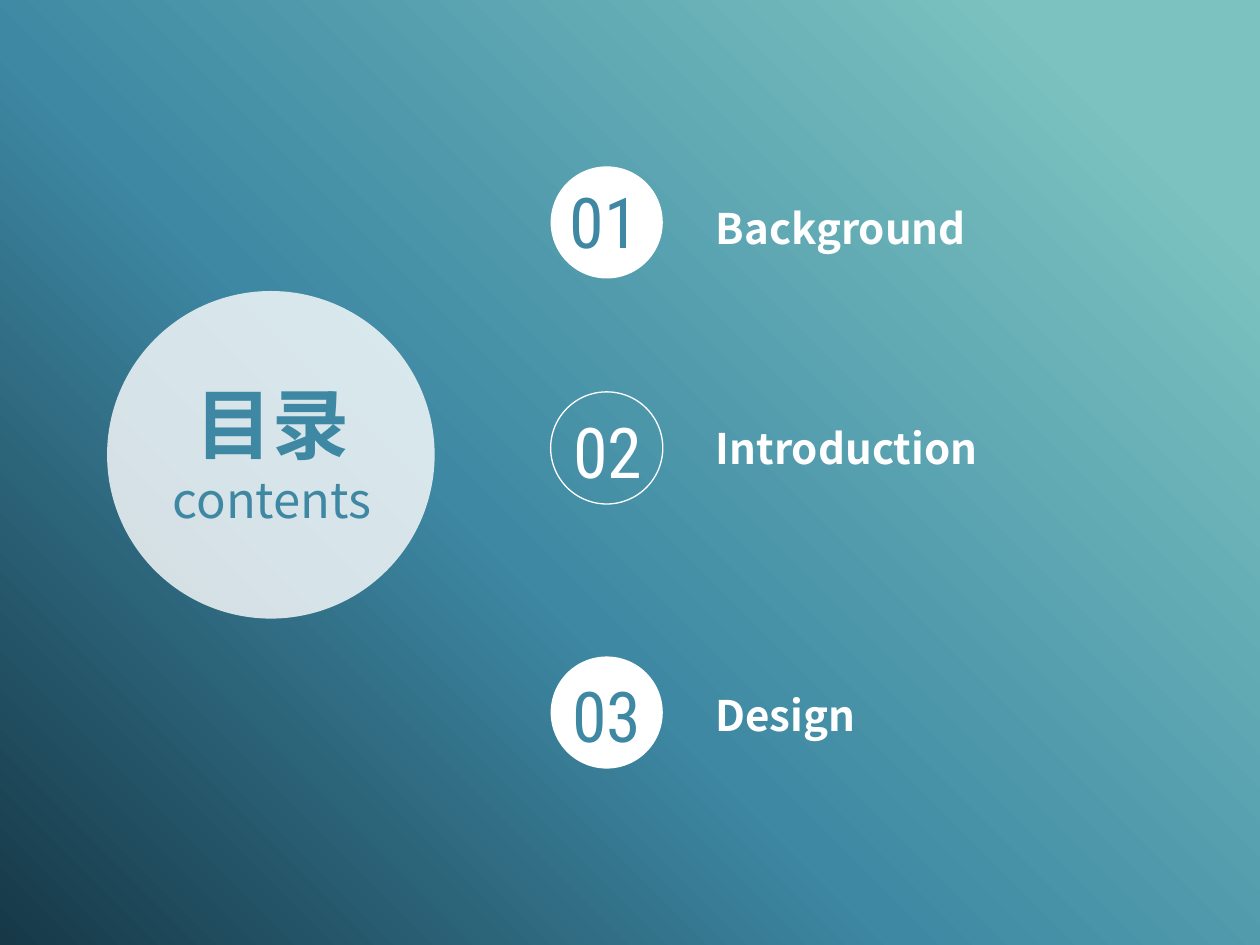
from lxml.etree import SubElement
from pptx import Presentation
from pptx.dml.color import RGBColor
from pptx.enum.shapes import MSO_SHAPE
from pptx.enum.text import MSO_ANCHOR, MSO_AUTO_SIZE, PP_ALIGN
from pptx.oxml import parse_xml
from pptx.oxml.ns import nsdecls, qn
from pptx.util import Inches, Pt

COLORS = {"navy": "163847", "blue": "3E88A3", "mint": "7BC2C0", "white": "FFFFFF"}
SANS = "Noto Sans CJK SC"
CONDENSED = "Roboto Condensed"


class ContentsSlide:
    """Draws the elements of a contents slide in one shared style."""

    def __init__(self, deck):
        self.slide = deck.slides.add_slide(deck.slide_layouts[5])
        self.shapes = self.slide.shapes

    def color(self, name):
        return RGBColor.from_string(COLORS[name])

    def backdrop(self, width, height, stops):
        panel = self.shapes.add_shape(MSO_SHAPE.RECTANGLE, 0, 0, width, height)
        panel.shadow.inherit = False
        panel.line.fill.background()
        panel.fill.gradient()
        panel.fill.gradient_angle = 45
        stop_list = panel._element.spPr.find(qn("a:gradFill")).find(qn("a:gsLst"))
        for old_stop in list(stop_list):
            stop_list.remove(old_stop)
        for percent, name in stops:
            stop_list.append(parse_xml(
                f'<a:gs {nsdecls("a")} pos="{percent * 1000}">'
                f'<a:srgbClr val="{COLORS[name]}"/></a:gs>'))

    def circle(self, left, top, size, filled=True, opacity=100):
        disc = self.shapes.add_shape(
            MSO_SHAPE.OVAL, Inches(left), Inches(top), Inches(size), Inches(size))
        disc.shadow.inherit = False
        if not filled:
            disc.fill.background()
            disc.line.color.rgb = self.color("white")
            disc.line.width = Pt(0.75)
            return
        disc.line.fill.background()
        disc.fill.solid()
        disc.fill.fore_color.rgb = self.color("white")
        if opacity < 100:
            tint = disc._element.spPr.find(qn("a:solidFill"))[0]
            SubElement(tint, qn("a:alpha"), val=str(opacity * 1000))

    def set_lines(self, holder, lines, color, font, align):
        frame = holder.text_frame
        frame.word_wrap = True
        frame.auto_size = MSO_AUTO_SIZE.SHAPE_TO_FIT_TEXT
        frame.vertical_anchor = MSO_ANCHOR.TOP
        frame.margin_left = frame.margin_right = 0
        frame.margin_top = frame.margin_bottom = 0
        frame.text = "\n".join(words for words, _, _ in lines)
        for paragraph, (_, size, bold) in zip(frame.paragraphs, lines):
            paragraph.alignment = align
            for run in paragraph.runs:
                run.font.size = Pt(size)
                run.font.bold = bold
                run.font.color.rgb = self.color(color)
                run.font.name = font
                SubElement(run.font._element, qn("a:ea"), typeface=font)

    def title(self, left, top, width, height, lines):
        heading = self.shapes.title
        heading.left, heading.top = Inches(left), Inches(top)
        heading.width, heading.height = Inches(width), Inches(height)
        self.set_lines(heading, lines, "blue", SANS, PP_ALIGN.CENTER)
        self.shapes._spTree.append(heading._element)

    def text(self, left, top, width, height, line, color, font, align):
        box = self.shapes.add_textbox(
            Inches(left), Inches(top), Inches(width), Inches(height))
        self.set_lines(box, [line], color, font, align)

    def entry(self, number, topic, circle_top, number_at, topic_top, filled):
        self.circle(4.37, circle_top, 0.89, filled)
        self.text(*number_at, 0.89, 0.67, (number, 40, False),
                  "blue" if filled else "white", CONDENSED, PP_ALIGN.CENTER)
        self.text(5.68, topic_top, 3.34, 0.4, (topic, 24, True),
                  "white", SANS, PP_ALIGN.LEFT)


def main():
    deck = Presentation()
    deck.slide_width, deck.slide_height = Inches(10), Inches(7.5)
    contents = ContentsSlide(deck)
    contents.backdrop(deck.slide_width, deck.slide_height,
                      [(0, "navy"), (41, "blue"), (89, "mint")])
    contents.circle(0.85, 2.31, 2.6, opacity=80)
    contents.title(1.16, 2.99, 2, 1.21,
                   [("目录", 44, True), ("contents", 28, False)])
    entries = [
        ("01", "Background", 1.32, (4.35, 1.42), 1.61, True),
        ("02", "Introduction", 3.11, (4.38, 3.24), 3.35, False),
        ("03", "Design", 5.21, (4.37, 5.34), 5.47, True),
    ]
    for entry in entries:
        contents.entry(*entry)
    deck.save("out.pptx")


if __name__ == "__main__":
    main()
